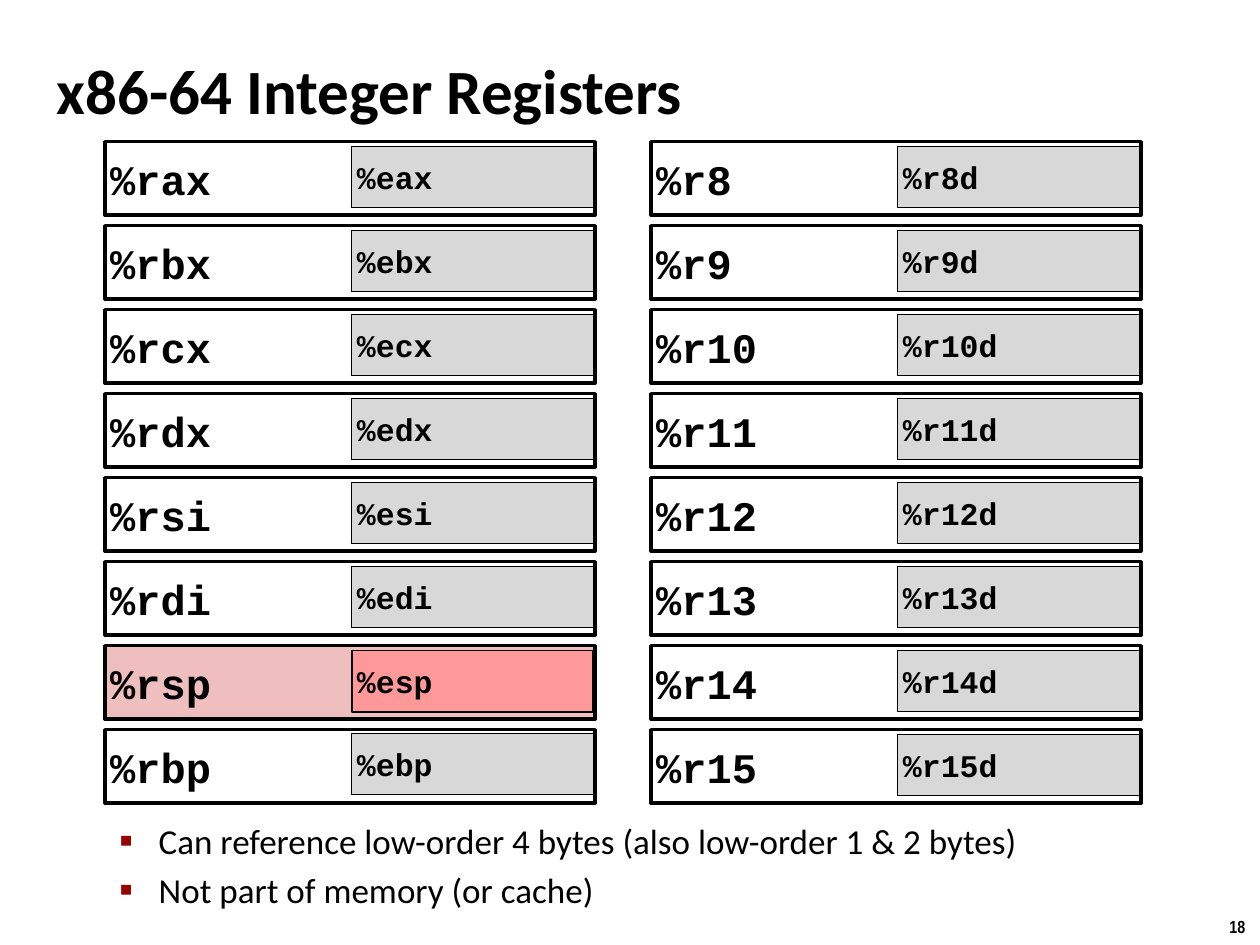
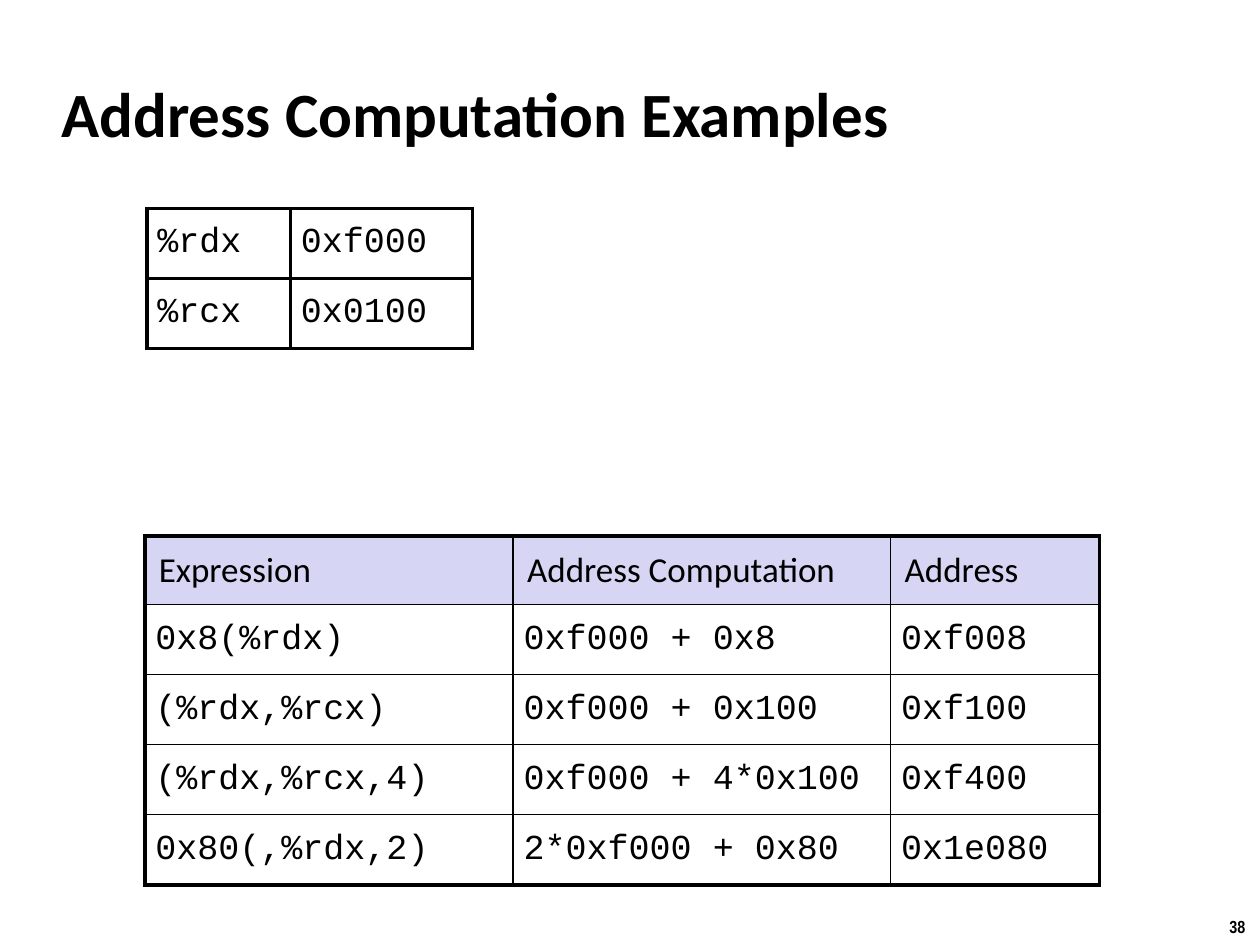
import pptx
import pptx.dml.color
import pptx.enum.shapes
import pptx.enum.text
import pptx.oxml
import pptx.oxml.ns
import pptx.util

Pt = pptx.util.Pt
ALIGN = pptx.enum.text.PP_ALIGN
MIDDLE = pptx.enum.text.MSO_ANCHOR.MIDDLE
NO_AUTOSIZE = pptx.enum.text.MSO_AUTO_SIZE.NONE
RGB = pptx.dml.color.RGBColor.from_string

COLORS = {
    "ink": "000000",
    "paper": "FFFFFF",
    "bullet": "990000",
    "low half": "D8D8D8",
    "stack pointer": "EFBFBF",
    "stack pointer low half": "FF9999",
    "header": "D6D6F4",
}
TEXT_FONT = "Calibri"
CODE_FONT = "Courier New"
NUMBER_FONT = "Arial Narrow"


def format_runs(paragraph, font_name, size, bold=False):
    paragraph.alignment = ALIGN.LEFT
    for run in paragraph.runs:
        run.font.name = font_name
        run.font.size = Pt(size)
        run.font.bold = bold
        run.font.color.rgb = RGB(COLORS["ink"])


def add_xml(parent, xml):
    namespace = pptx.oxml.ns.nsdecls("a")
    tag, rest = xml[1:].split(" ", 1)
    parent.append(pptx.oxml.parse_xml(f"<{tag} {namespace} {rest}"))


presentation = pptx.Presentation()
presentation.slide_width = Pt(720)
presentation.slide_height = Pt(540)

slides = []
for layout_index, title_text, number, title_left, title_top in [
    (1, "x86-64 Integer Registers", "18", 25, 21),
    (5, "Address Computation Examples", "38", 28, 34.25),
]:
    slide = presentation.slides.add_slide(presentation.slide_layouts[layout_index])
    slides.append(slide)
    title = slide.shapes.title
    title.left, title.top = Pt(title_left), Pt(title_top)
    title.width, title.height = Pt(598), Pt(60)
    title.text_frame.text = title_text
    title.text_frame.auto_size = NO_AUTOSIZE
    title.text_frame.vertical_anchor = MIDDLE
    format_runs(title.text_frame.paragraphs[0], TEXT_FONT, 36, True)

    number_box = slide.shapes.add_textbox(Pt(695.5), Pt(520), Pt(24.5), Pt(19.5))
    number_box.text_frame.word_wrap = False
    number_box.text_frame.text = number
    format_runs(number_box.text_frame.paragraphs[0], NUMBER_FONT, 10, True)

register_slide, address_slide = slides

body = register_slide.placeholders[1]
body.left, body.top, body.width, body.height = Pt(25), Pt(464.5), Pt(577.5), Pt(66)
body.text_frame.text = (
    "Can reference low-order 4 bytes (also low-order 1 & 2 bytes)\n"
    "Not part of memory (or cache)"
)
body.text_frame.auto_size = NO_AUTOSIZE
for paragraph in body.text_frame.paragraphs:
    paragraph.level = 1
    paragraph.space_before = Pt(4)
    format_runs(paragraph, TEXT_FONT, 20)
    properties = paragraph._p.get_or_add_pPr()
    properties.set("marL", str(Pt(58.5)))
    properties.set("indent", str(Pt(-22.5)))
    add_xml(properties, f'<a:buClr ><a:srgbClr val="{COLORS["bullet"]}"/></a:buClr>')
    add_xml(properties, '<a:buSzPct val="110000"/>')
    add_xml(properties, f'<a:buFont typeface="{TEXT_FONT}"/>')
    add_xml(properties, '<a:buChar char="▪"/>')

old_registers = ["ax", "bx", "cx", "dx", "si", "di", "sp", "bp"]
register_columns = [
    (60, [(f"%r{name}", f"%e{name}") for name in old_registers]),
    (372, [(f"%r{index}", f"%r{index}d") for index in range(8, 16)]),
]
for left, registers in register_columns:
    for row, (full_name, low_name) in enumerate(registers):
        top = 81 + 48 * row
        is_stack_pointer = full_name == "%rsp"
        full_fill = "stack pointer" if is_stack_pointer else None
        low_fill = "stack pointer low half" if is_stack_pointer else "low half"
        low_line = 1 if is_stack_pointer else 0.75
        low_width = 138 if is_stack_pointer else 139
        low_top = top + (2 if full_name == "%rbp" else 2.75)
        boxes = [
            (low_name, left + 141, low_top, low_width, 35, low_fill, low_line, 18),
            (full_name, left, top, 280, 42, full_fill, 2, 24),
        ]
        if is_stack_pointer:
            boxes.reverse()
        for name, x, y, width, height, fill, line_width, size in boxes:
            shape = register_slide.shapes.add_shape(
                pptx.enum.shapes.MSO_SHAPE.RECTANGLE, Pt(x), Pt(y), Pt(width), Pt(height)
            )
            shape.shadow.inherit = False
            if fill:
                shape.fill.solid()
                shape.fill.fore_color.rgb = RGB(COLORS[fill])
            else:
                shape.fill.background()
            shape.line.color.rgb = RGB(COLORS["ink"])
            shape.line.width = Pt(line_width)
            text_frame = shape.text_frame
            text_frame.margin_left = text_frame.margin_right = Pt(3)
            text_frame.margin_top = text_frame.margin_bottom = Pt(3)
            text_frame.vertical_anchor = MIDDLE
            text_frame.text = name
            format_runs(text_frame.paragraphs[0], CODE_FONT, size, True)

address_rows = [
    ("Expression", "Address Computation", "Address"),
    ("0x8(%rdx)", "0xf000 + 0x8", "0xf008"),
    ("(%rdx,%rcx)", "0xf000 + 0x100", "0xf100"),
    ("(%rdx,%rcx,4)", "0xf000 + 4*0x100", "0xf400"),
    ("0x80(,%rdx,2)", "2*0xf000 + 0x80", "0x1e080"),
]
question_rows = address_rows[:1] + [(row[0], "", "") for row in address_rows[1:]]
register_values = [("%rdx", "0xf000"), ("%rcx", "0x0100")]
address_widths = [210.5, 215.75, 119.5]
tables = [
    (question_rows, 82.75, 306, address_widths, 40, True, 2.25, 1, 0.95),
    (address_rows, 82.75, 306.5, address_widths, 39, True, 2.25, 1, 0.95),
    (register_values, 84, 119, [82, 104], 40, False, 2, 2, 1),
]
for rows, left, top, widths, first_height, has_header, outer, inner, spacing in tables:
    table = address_slide.shapes.add_table(
        len(rows), len(widths), Pt(left), Pt(top), Pt(sum(widths)), Pt(40 * len(rows))
    ).table
    table.first_row = False
    table.horz_banding = False
    table.rows[0].height = Pt(first_height)
    for column, width in zip(table.columns, widths):
        column.width = Pt(width)
    for row_index, row in enumerate(rows):
        for column_index, text in enumerate(row):
            cell = table.cell(row_index, column_index)
            is_header = has_header and row_index == 0
            margin = 8 if is_header else 6
            cell.margin_left = cell.margin_right = Pt(margin)
            cell.margin_top = cell.margin_bottom = Pt(margin)
            cell.vertical_anchor = MIDDLE
            cell.text_frame.text = text
            paragraph = cell.text_frame.paragraphs[0]
            paragraph.line_spacing = spacing
            paragraph.font.size = Pt(20)
            format_runs(paragraph, TEXT_FONT if is_header else CODE_FONT, 20)
            edges = {
                "L": column_index == 0,
                "R": column_index == len(row) - 1,
                "T": row_index == 0,
                "B": row_index == len(rows) - 1,
            }
            for side, is_outer in edges.items():
                width = Pt(outer if is_outer else inner)
                add_xml(
                    cell._tc.get_or_add_tcPr(),
                    f'<a:ln{side} w="{width}"><a:solidFill>'
                    f'<a:srgbClr val="{COLORS["ink"]}"/></a:solidFill></a:ln{side}>',
                )
            cell.fill.solid()
            cell.fill.fore_color.rgb = RGB(COLORS["header" if is_header else "paper"])

presentation.save("out.pptx")
